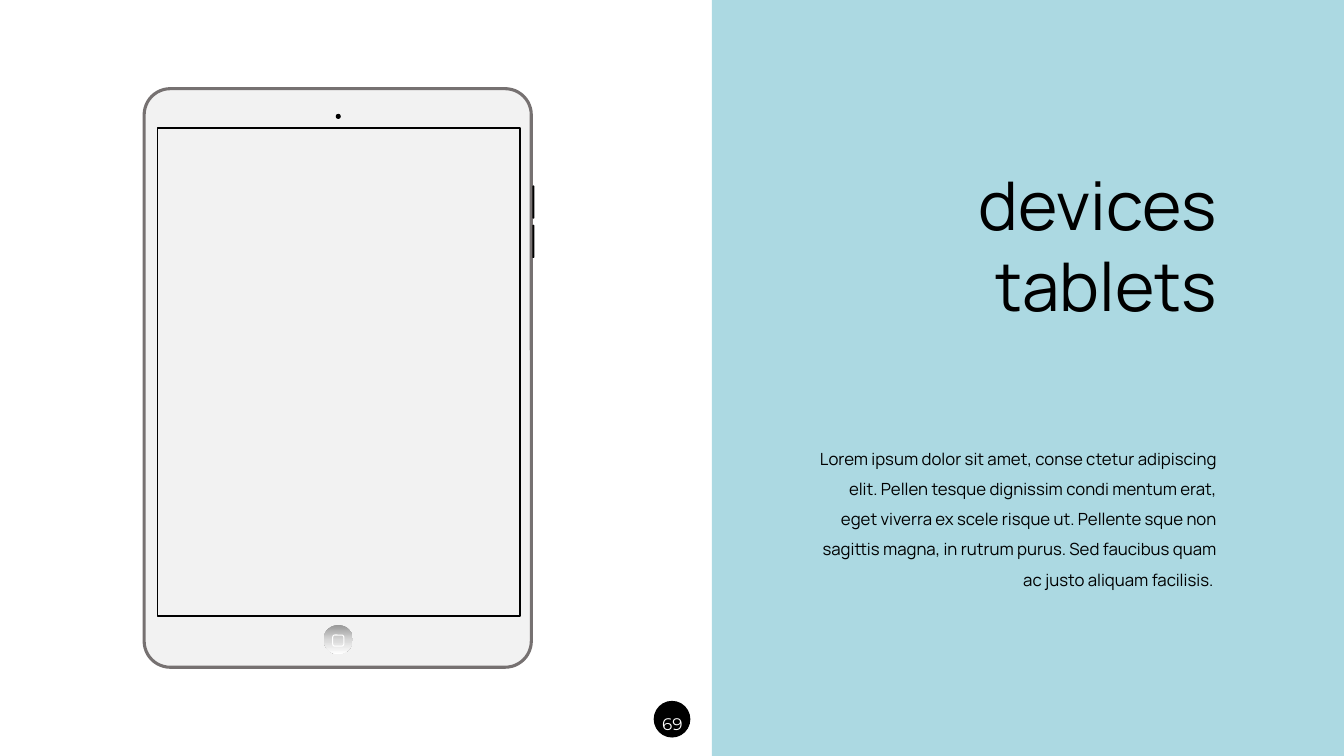
from copy import deepcopy
from pptx import Presentation
from pptx.dml.color import RGBColor
from pptx.enum.shapes import MSO_SHAPE
from pptx.enum.text import MSO_ANCHOR, MSO_AUTO_SIZE, PP_ALIGN
from pptx.util import Inches, Pt


def add_part(kind, left, top, width, height, fill=None, line=None, weight=1, radius=None):
    shape = slide.shapes.add_shape(kind, Inches(left), Inches(top), Inches(width), Inches(height))
    shape.shadow.inherit = False
    if fill:
        shape.fill.solid()
        shape.fill.fore_color.rgb = RGBColor.from_string(fill)
    else:
        shape.fill.background()
    if line:
        shape.line.color.rgb = RGBColor.from_string(line)
        shape.line.width = Pt(weight)
    else:
        shape.line.fill.background()
    if radius is not None:
        shape.adjustments[0] = radius / min(width, height)
    return shape


def write_text(shape, lines, size, font, color, alignment, spacing=None):
    frame = shape.text_frame
    frame.word_wrap = True
    frame.auto_size = MSO_AUTO_SIZE.NONE
    frame.vertical_anchor = MSO_ANCHOR.TOP
    for index, line in enumerate(lines):
        paragraph = frame.add_paragraph() if index else frame.paragraphs[0]
        paragraph.alignment = alignment
        if spacing:
            paragraph.line_spacing = spacing
        run = paragraph.add_run()
        run.text = line
        run.font.size = Pt(size)
        run.font.name = font
        run.font.color.rgb = RGBColor.from_string(color)


presentation = Presentation()
presentation.slide_width = Inches(13.33)
presentation.slide_height = Inches(7.5)
slide = presentation.slides.add_slide(presentation.slide_layouts[5])

add_part(MSO_SHAPE.ROUNDED_RECTANGLE, 1.43, 0.88, 3.84, 5.74, "F2F2F2", "767171", 2.2, 0.26)
add_part(MSO_SHAPE.OVAL, 3.33, 1.13, 0.05, 0.05, "000000")

home_button = add_part(MSO_SHAPE.OVAL, 3.21, 6.2, 0.29, 0.29, "979797")
home_button.fill.gradient()
home_button.fill.gradient_angle = 270
stop_list = home_button.element.spPr.gradFill.gsLst
stop_list.append(deepcopy(stop_list[0]))
stops = [(0, "979797"), (0.5, "D7D7D7"), (1, "FFFFFF")]
for stop, (position, color) in zip(home_button.fill.gradient_stops, stops):
    stop.position = position
    stop.color.rgb = RGBColor.from_string(color)
add_part(MSO_SHAPE.ROUNDED_RECTANGLE, 3.3, 6.3, 0.11, 0.11, None, "FFFFFF", 0.75, 0.02)

for button_top in (1.84, 2.23):
    add_part(MSO_SHAPE.ROUNDED_RECTANGLE, 5.28, button_top, 0.02, 0.33, "000000", radius=0.01)

panel = add_part(MSO_SHAPE.RECTANGLE, 7.06, 0, 6.27, 7.5, "ACD9E2")
add_part(MSO_SHAPE.OVAL, 6.49, 6.96, 0.35, 0.35, "000000", "000000")
page_number = slide.shapes.add_textbox(Inches(6.42), Inches(6.93), Inches(0.5), Inches(0.37))
write_text(page_number, ["69"], 12, "Montserrat", "FFFFFF", PP_ALIGN.CENTER, 1.5)

add_part(MSO_SHAPE.RECTANGLE, 1.56, 1.27, 3.6, 4.84, None, "000000")

title = slide.shapes.title
title.left, title.top = Inches(8.86), Inches(1.57)
title.width, title.height = Inches(3.31), Inches(1.72)
write_text(title, ["devices", "tablets"], 48, "Manrope", "000000", PP_ALIGN.RIGHT)
panel.element.addnext(title.element)

description = slide.shapes.add_textbox(Inches(8.01), Inches(4.3), Inches(4.16), Inches(1.62))
write_text(
    description,
    [
        "Lorem ipsum dolor sit amet, conse ctetur adipiscing elit. Pellen tesque dignissim "
        "condi mentum erat, eget viverra ex scele risque ut. Pellente sque non sagittis magna, "
        "in rutrum purus. Sed faucibus quam ac justo aliquam facilisis. "
    ],
    12, "Manrope", "000000", PP_ALIGN.RIGHT, 1.5,
)

presentation.save("out.pptx")
